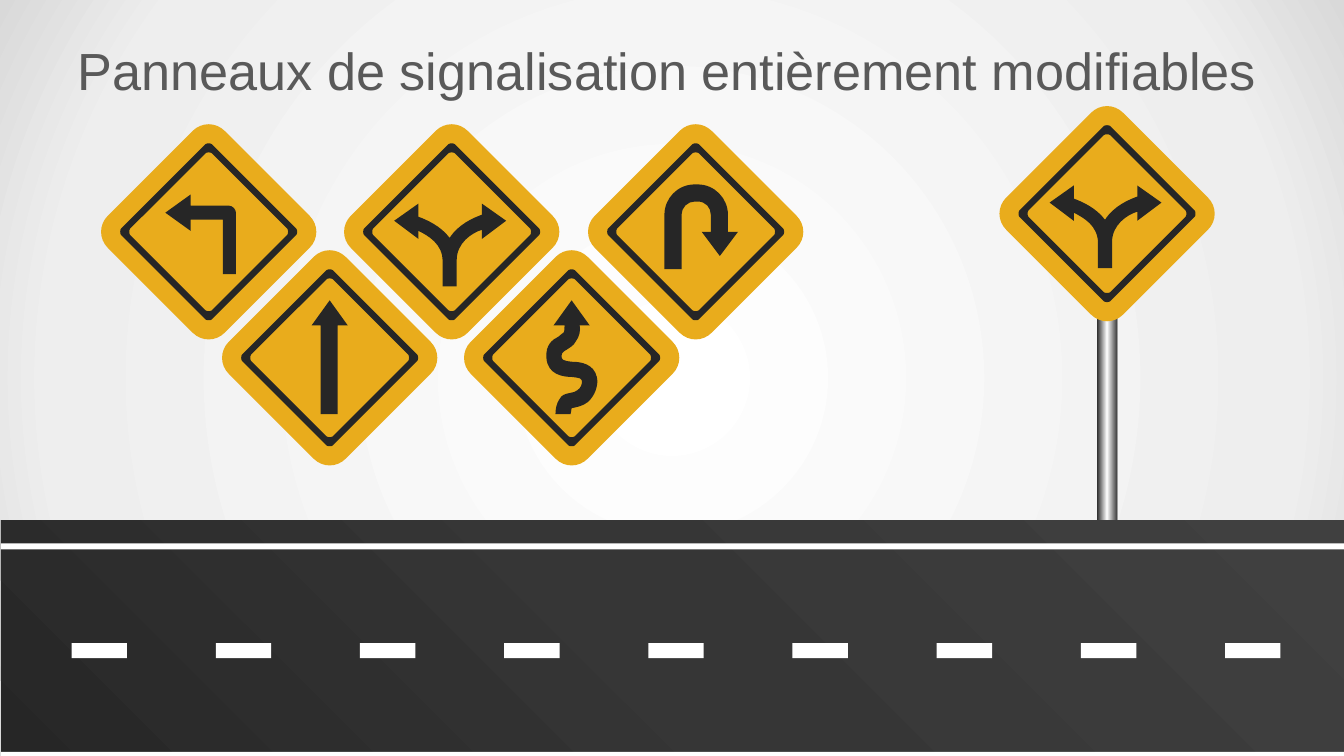
from lxml import etree
from pptx import Presentation
from pptx.dml.color import RGBColor
from pptx.enum.shapes import MSO_SHAPE as Preset
from pptx.enum.text import MSO_ANCHOR as Anchor, MSO_AUTO_SIZE as AutoSize, PP_ALIGN as Align
from pptx.util import Inches, Pt

DRAWING = "{http://schemas.openxmlformats.org/drawingml/2006/main}"
WHITE, CHARCOAL, SLATE, YELLOW, GREY = "FFFFFF", "262626", "404040", "E9AC1C", "595959"

LEFT_TURN = [
    (.2, -.26), (-.18, -.26), (-.18, -.37), (-.43, -.19), (-.18, -.01), (-.18, -.12),
    (.14, -.12), (.14, .42), (.27, .42), (.27, -.19), (.27, -.22, .24, -.26, .2, -.26),
]
FORK = [
    (.54, -.11), (.3, -.28), (.3, -.17), (.22, -.14, .07, -.08, -.02, .06),
    (-.11, -.06, -.25, -.12, -.33, -.15), (-.33, -.28), (-.57, -.11), (-.33, .07),
    (-.33, -.01), (-.23, .04, -.09, .12, -.09, .29), (-.09, .54), (.05, .54),
    (.05, .28), (.05, .11, .2, .01, .3, -.02), (.3, .07),
]
U_TURN = [
    (.32, 0), (.32, -.17), (.32, -.33, .19, -.47, .02, -.47), (-.01, -.47),
    (-.18, -.47, -.31, -.33, -.31, -.17), (-.31, .37), (-.14, .37), (-.14, -.17),
    (-.14, -.24, -.08, -.3, -.01, -.3), (.02, -.3), (.1, -.3, .15, -.24, .15, -.17),
    (.15, 0), (.06, 0), (.24, .24), (.42, 0),
]
WINDING = [
    (.25, .19), (.22, .06, .09, .04, .01, .04), (-.09, .03, -.1, .02, -.1, -.02),
    (-.1, -.04, -.1, -.05, -.05, -.08), (-.02, -.1, .02, -.12, .04, -.16),
    (.08, -.21, .09, -.28, .08, -.32), (.18, -.32), (0, -.57), (-.18, -.32),
    (-.07, -.32), (-.07, -.3, -.07, -.26, -.08, -.25), (-.09, -.24, -.11, -.23, -.13, -.21),
    (-.19, -.18, -.26, -.13, -.25, 0), (-.24, .17, -.08, .19, 0, .19),
    (.09, .2, .1, .21, .1, .22), (.11, .26, .09, .3, .06, .32),
    (.04, .34, .02, .34, -.02, .35), (-.07, .36, -.1, .37, -.12, .41),
    (-.15, .45, -.16, .51, -.16, .56), (-.01, .56), (-.01, .54, 0, .52, 0, .5),
    (.05, .49, .11, .48, .16, .44), (.23, .38, .27, .27, .25, .19),
]
STRAIGHT = [(.18, -.32), (0, -.57), (-.18, -.32), (-.09, -.32), (-.09, .56), (.08, .56), (.08, -.32)]

SIGNS = [
    (2.07, 2.3, LEFT_TURN), (4.48, 2.3, FORK), (6.9, 2.3, U_TURN),
    (5.67, 3.55, WINDING), (3.27, 3.55, STRAIGHT), (10.98, 2.12, FORK),
]


def color(hex_value):
    return RGBColor.from_string(hex_value)


def set_format(target, values):
    for name, value in values.items():
        setattr(target, name, value)


def set_gradient(owner, fill, stops, angle=None):
    fill.gradient()
    gradient = owner._element.xpath(".//a:gradFill")[0]
    for child in list(gradient):
        gradient.remove(child)
    stop_list = etree.SubElement(gradient, DRAWING + "gsLst")
    for position, hex_value in stops:
        stop = etree.SubElement(stop_list, DRAWING + "gs", pos=str(position * 1000))
        etree.SubElement(stop, DRAWING + "srgbClr", val=hex_value)
    if angle is None:
        circle = etree.SubElement(gradient, DRAWING + "path", path="circle")
        etree.SubElement(circle, DRAWING + "fillToRect", dict.fromkeys("ltrb", "50000"))
    else:
        etree.SubElement(gradient, DRAWING + "lin", ang=str(angle * 60000), scaled="0")


def finish(shape, hex_value):
    shape.shadow.inherit = False
    shape.line.fill.background()
    shape.fill.solid()
    shape.fill.fore_color.rgb = color(hex_value)
    return shape


def add_rectangle(shapes, box, hex_value=WHITE):
    return finish(shapes.add_shape(Preset.RECTANGLE, *map(Inches, box)), hex_value)


def add_background(slide):
    set_gradient(slide, slide.background.fill, [(0, WHITE), (81, "EEEEEE"), (100, "D9D9D9")])


def add_title(slide, box, text):
    title = slide.shapes.title
    set_format(title, dict(zip(("left", "top", "width", "height"), map(Inches, box))))
    frame = title.text_frame
    frame.text = text
    set_format(frame, {"word_wrap": True, "auto_size": AutoSize.NONE, "vertical_anchor": Anchor.MIDDLE})
    paragraph = frame.paragraphs[0]
    paragraph.alignment = Align.LEFT
    font = paragraph.runs[0].font
    set_format(font, {"name": "Arial", "size": Pt(37.3)})
    font.color.rgb = color(GREY)


def add_road(slide, box):
    left, top, width, height = box
    asphalt = add_rectangle(slide.shapes, box)
    set_gradient(asphalt, asphalt.fill, [(0, CHARCOAL), (50, "363636"), (100, SLATE)], 315)
    markings = slide.shapes.add_group_shape().shapes
    for index in range(9):
        add_rectangle(markings, (left + .7 + 1.43 * index, top + 1.22, .55, .15))
    for offset in (2.3, .23):
        add_rectangle(markings, (left, top + offset, width, .06))


def add_post(slide, box):
    post = add_rectangle(slide.shapes, box)
    set_gradient(post, post.fill, [(0, CHARCOAL), (50, WHITE), (100, SLATE)], 0)


def rounded_diamond(edge, inset, tip):
    side, bend = edge - inset, edge - tip
    outline = [(side, -inset)]
    for x, y in ((1, 0), (0, 1), (-1, 0), (0, -1)):
        def turn(along, across):
            return x * along - y * across, y * along + x * across
        outline.append(turn(side, -inset))
        outline.append(turn(tip, -bend) + turn(tip, bend) + turn(side, inset))
    return outline


def bend_curves(shape, outlines):
    path = shape._element.xpath(".//a:path")[0]
    segments = iter(path.findall(DRAWING + "lnTo"))
    for outline in outlines:
        for step in outline[1:]:
            lines = [next(segments) for _ in range(len(step) // 2)]
            if len(lines) == 1:
                continue
            curve = etree.SubElement(path, DRAWING + "cubicBezTo")
            lines[0].addprevious(curve)
            for line in lines:
                curve.append(line[0])
                path.remove(line)


def add_outline(shapes, center, outlines, hex_value):
    builder = None
    for outline in outlines:
        points = [(Inches(center[0] + step[i]), Inches(center[1] + step[i + 1]))
                  for step in outline for i in range(0, len(step), 2)]
        if builder is None:
            builder = shapes.build_freeform(*points[0])
        else:
            builder.move_to(*points[0])
        builder.add_line_segments(points[1:], close=True)
    shape = finish(builder.convert_to_shape(), hex_value)
    bend_curves(shape, outlines)


def add_sign(slide, center, arrow):
    shapes = slide.shapes.add_group_shape().shapes
    add_outline(shapes, center, [rounded_diamond(1.16, .16, 1.09)], YELLOW)
    add_outline(shapes, center, [rounded_diamond(.9, .03, .88), rounded_diamond(.81, .03, .79)], CHARCOAL)
    add_outline(shapes, center, [arrow], CHARCOAL)


def main():
    presentation = Presentation()
    set_format(presentation, {"slide_width": Inches(13.33), "slide_height": Inches(7.5)})
    slide = presentation.slides.add_slide(presentation.slide_layouts[5])
    add_background(slide)
    add_title(slide, (.67, .3, 12, .78), "Panneaux de signalisation entièrement modifiables")
    add_road(slide, (.01, 5.16, 13.33, 2.59))
    add_post(slide, (10.88, 3.13, .2, 2.03))
    for x, y, arrow in SIGNS:
        add_sign(slide, (x, y), arrow)
    presentation.save("out.pptx")


if __name__ == "__main__":
    main()
